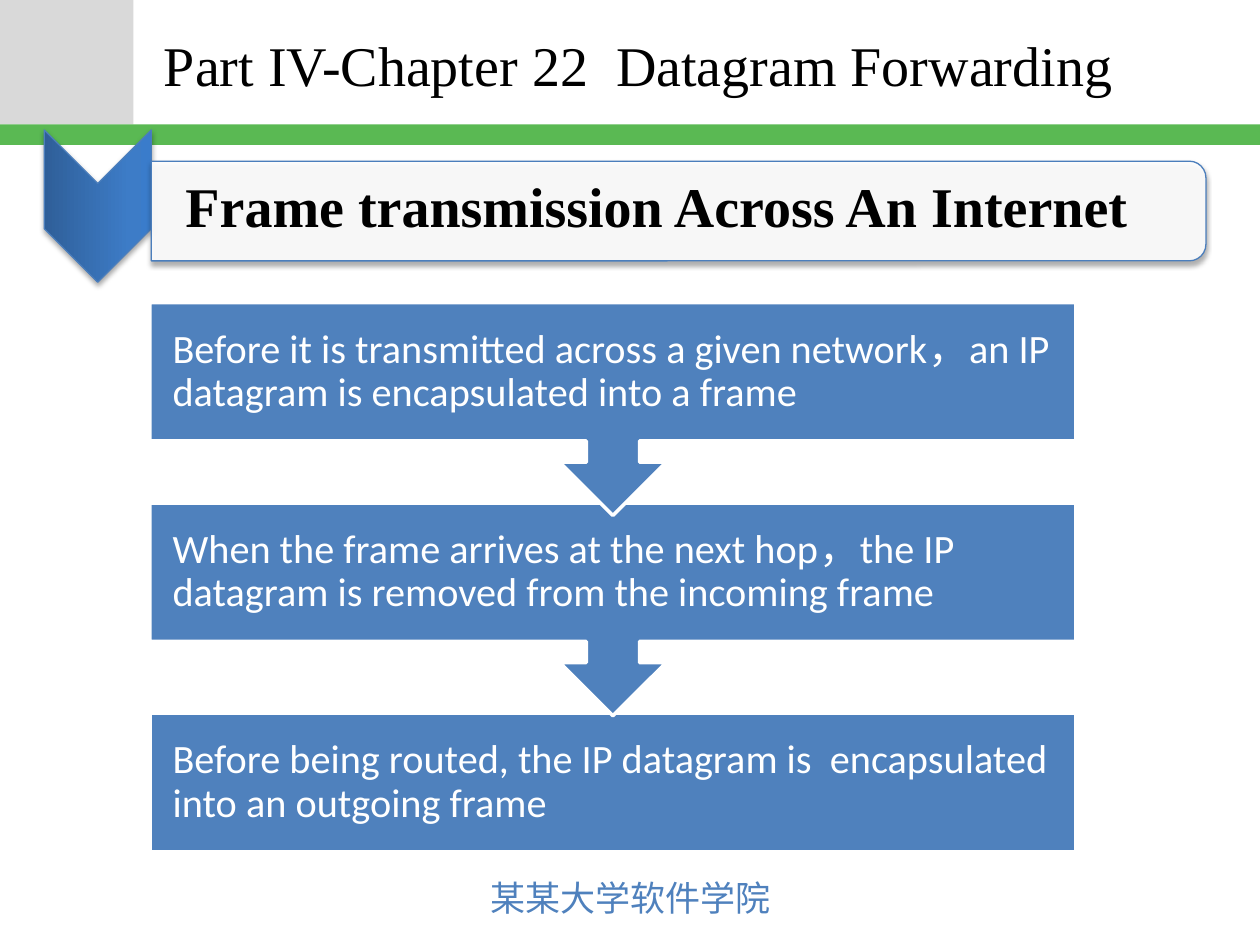
import copy
from dataclasses import dataclass

import lxml.etree
import pptx
import pptx.dml.color
import pptx.enum.shapes
import pptx.enum.text
import pptx.oxml.ns
import pptx.util

Cm = pptx.util.Cm
Pt = pptx.util.Pt
Shape = pptx.enum.shapes.MSO_SHAPE
Anchor = pptx.enum.text.MSO_ANCHOR
Align = pptx.enum.text.PP_ALIGN
qn = pptx.oxml.ns.qn


@dataclass(frozen=True)
class Theme:
    grey: str = "D9D9D9"
    green: str = "5AB953"
    blue: str = "4F81BD"
    outline: str = "4B7EBC"
    white: str = "FFFFFF"
    black: str = "000000"
    chevron_stops: tuple = ((0, "2F5F99"), (0.8, "3D7CC7"), (1, "3A7CCB"))
    heading_font: str = "Times New Roman"
    body_font: str = "Calibri"
    footer_font: str = "Noto Sans CJK JP"
    heading_size: int = 32
    body_size: int = 23
    footer_size: int = 20


THEME = Theme()
STEPS = (
    "Before it is transmitted across a given network，an IP datagram is encapsulated into a frame",
    "When the frame arrives at the next hop，the IP datagram is removed from the incoming frame",
    "Before being routed, the IP datagram is  encapsulated into an outgoing frame",
)


def rgb(color):
    return pptx.dml.color.RGBColor.from_string(color)


def add_block(slide, kind, box, fill=None, line=None, line_width=0.75, rotation=0):
    """Add a shape whose outline, after rotation, covers box (cm)."""
    left, top, width, height = box
    if rotation % 180:
        left, top = left + (width - height) / 2, top + (height - width) / 2
        width, height = height, width
    shape = slide.shapes.add_shape(kind, Cm(left), Cm(top), Cm(width), Cm(height))
    shape.rotation = rotation
    shape.shadow.inherit = False
    if fill:
        shape.fill.solid()
        shape.fill.fore_color.rgb = rgb(fill)
    if line:
        shape.line.color.rgb = rgb(line)
        shape.line.width = Pt(line_width)
    else:
        shape.line.fill.background()
    return shape


def write_text(shape, text, font, size, color, bold=False, align=Align.LEFT, insets=None):
    frame = shape.text_frame
    frame.word_wrap = True
    frame.vertical_anchor = Anchor.MIDDLE
    if insets:
        frame.margin_left, frame.margin_top, frame.margin_right, frame.margin_bottom = map(Cm, insets)
    frame.text = text
    paragraph = frame.paragraphs[0]
    paragraph.alignment = align
    run_font = paragraph.runs[0].font
    run_font.name, run_font.size, run_font.bold = font, Pt(size), bold
    run_font.color.rgb = rgb(color)
    return paragraph


def add_text(slide, box, *style, **options):
    return write_text(slide.shapes.add_textbox(*map(Cm, box)), *style, **options)


def set_alpha(color_element, percent):
    lxml.etree.SubElement(color_element, qn("a:alpha"), val=str(percent * 1000))


def add_soft_shadow(shape):
    effects = shape._element.spPr.find(qn("a:effectLst"))
    shadow = lxml.etree.SubElement(
        effects, qn("a:outerShdw"), blurRad=str(Pt(3.1)), dist=str(Pt(1.8)),
        dir="5400000", rotWithShape="0")
    set_alpha(lxml.etree.SubElement(shadow, qn("a:srgbClr"), val=THEME.black), 35)


def fill_chevron(shape):
    shape.fill.gradient()
    shape.fill.gradient_angle = 90
    stop_list = next(shape._element.spPr.iter(qn("a:gsLst")))
    stop_list.append(copy.deepcopy(stop_list[-1]))
    for stop, (position, color) in zip(shape.fill.gradient_stops, THEME.chevron_stops):
        stop.position = position
        stop.color.rgb = rgb(color)


def draw_header(slide, box, title):
    left, top, width, height = box
    band_height = 0.41
    body_height = height - band_height
    add_block(slide, Shape.RECTANGLE, (left, top, 2.69, body_height), THEME.grey)
    add_block(slide, Shape.RECTANGLE, (left, top + body_height, width, band_height), THEME.green)
    placeholder = slide.shapes.title
    placeholder.left, placeholder.top = Cm(left + 3.05), Cm(top + 0.05)
    placeholder.width, placeholder.height = Cm(21.84), Cm(2.49)
    write_text(placeholder, title, THEME.heading_font, THEME.heading_size, THEME.black)


def draw_banner(slide, box, text):
    left, top, width, height = box
    chevron_width = 2.16
    chevron = add_block(slide, Shape.CHEVRON, (left, top, chevron_width, height),
                        line=THEME.outline, rotation=90)
    fill_chevron(chevron)
    add_soft_shadow(chevron)
    panel_box = (left + chevron_width, top + 0.63, width - chevron_width, 2.01)
    panel = add_block(slide, Shape.ROUND_2_SAME_RECTANGLE, panel_box,
                      THEME.white, THEME.outline, rotation=90)
    set_alpha(panel._element.spPr.find(qn("a:solidFill"))[0], 90)
    add_soft_shadow(panel)
    add_text(slide, (panel_box[0] + 0.05, top + 0.61, 21.16, 1.8), text, THEME.heading_font,
             THEME.heading_size, THEME.black, bold=True, insets=(0.64, 0.05, 0.05, 0.05))


def draw_steps(slide, box, steps):
    """Stack arrow callouts from the top, with the last step flush at the bottom."""
    left, top, width, height = box
    step_height, callout_height, pitch = 2.79, 4.29, 4.04
    last = len(steps) - 1
    for index, text in reversed(list(enumerate(steps))):
        if index == last:
            step_top = top + height - step_height
            kind, shape_height, rotation = Shape.RECTANGLE, step_height, 0
        else:
            step_top = top + index * pitch
            kind, shape_height, rotation = Shape.UP_ARROW_CALLOUT, callout_height, 180
        add_block(slide, kind, (left, step_top, width, shape_height),
                  THEME.blue, THEME.white, 2, rotation)
        paragraph = add_text(slide, (left, step_top, width, step_height), text, THEME.body_font,
                             THEME.body_size, THEME.white, insets=(0.46,) * 4)
        paragraph.line_spacing = 0.9


def draw_footer(slide, box, text):
    paragraph = add_text(slide, box, text, THEME.footer_font, THEME.footer_size,
                         THEME.blue, align=Align.CENTER)
    properties = paragraph.runs[0].font._element
    lxml.etree.SubElement(properties, qn("a:ea"), typeface=THEME.footer_font)


def main():
    presentation = pptx.Presentation()
    presentation.slide_width, presentation.slide_height = Cm(25.4), Cm(19.05)
    slide = presentation.slides.add_slide(presentation.slide_layouts.get_by_name("Title Only"))
    draw_header(slide, (0, 0, 25.4, 2.92), "Part IV-Chapter 22  Datagram Forwarding")
    draw_banner(slide, (0.89, 2.62, 23.42, 3.07), "Frame transmission Across An Internet")
    draw_steps(slide, (3.02, 6.1, 18.67, 11.07), STEPS)
    draw_footer(slide, (9.6, 17.53, 6.22, 1.12), "某某大学软件学院")
    presentation.save("out.pptx")


if __name__ == "__main__":
    main()
